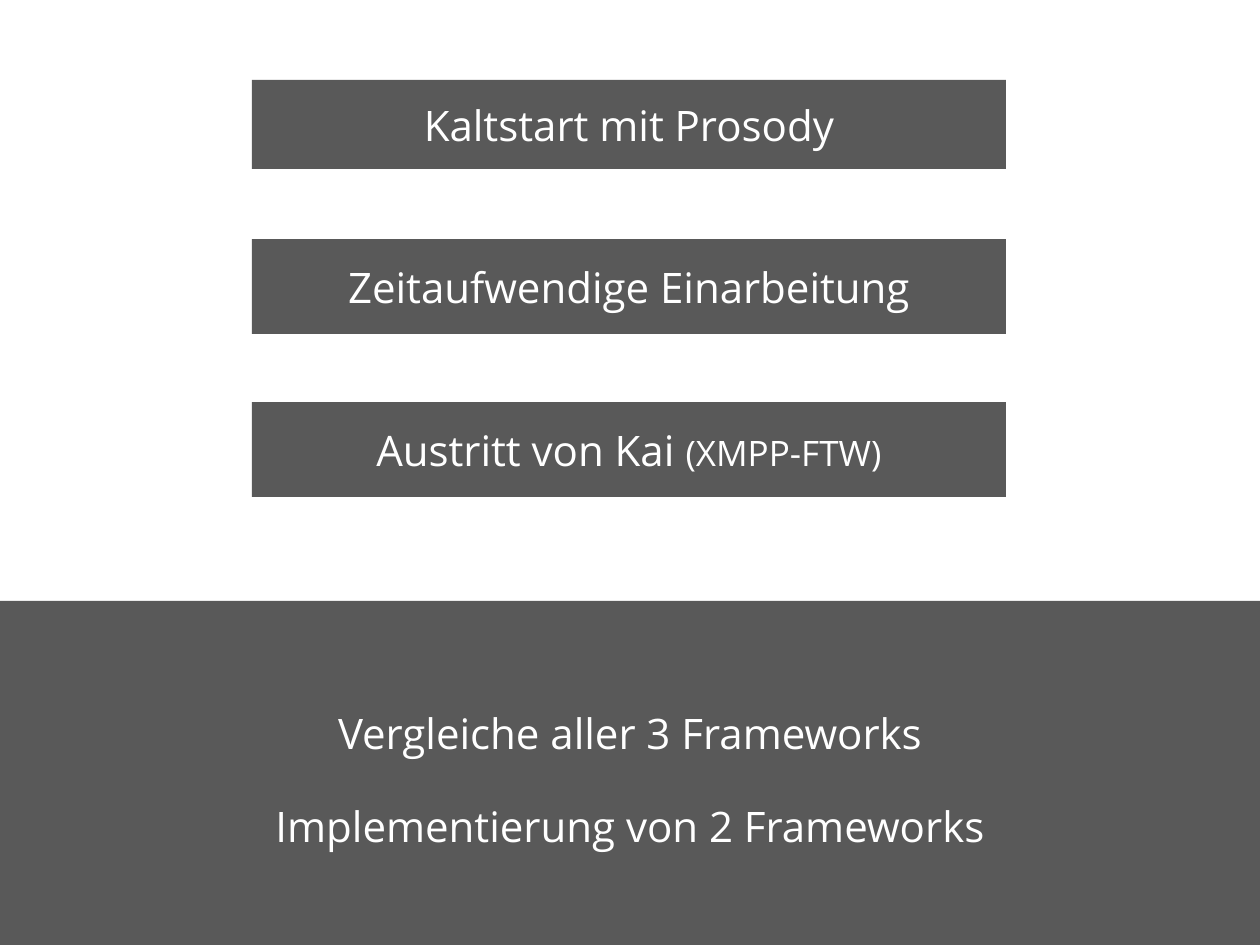
"""Builds a slide with three project obstacles above a results panel."""
import dataclasses

import pptx
import pptx.dml.color
import pptx.enum.shapes
import pptx.enum.text
import pptx.util


@dataclasses.dataclass(frozen=True)
class Theme:
    """Colours, type sizes and scale of the slide."""
    font: str = "Open Sans"
    panel: str = "595959"
    text: str = "FFFFFF"
    body_size: int = 24
    note_size: int = 20
    line_gap: float = 24.5
    px_per_inch: int = 126


class SlideBuilder:
    """Holds the theme and the current slide."""

    def __init__(self, slide, theme):
        self.slide = slide
        self.theme = theme

    def px(self, length):
        return pptx.util.Emu(round(length * 914400 / self.theme.px_per_inch))

    def color(self, value):
        return pptx.dml.color.RGBColor.from_string(value)

    def panel(self, left, top, width, height, lines):
        """Add a filled rectangle with centred lines of (text, size) runs."""
        shape = self.slide.shapes.add_shape(
            pptx.enum.shapes.MSO_SHAPE.RECTANGLE,
            *map(self.px, (left, top, width, height)))
        shape.shadow.inherit = False
        shape.fill.solid()
        shape.fill.fore_color.rgb = self.color(self.theme.panel)
        shape.line.fill.background()
        text_frame = shape.text_frame
        text_frame.word_wrap = True
        text_frame.vertical_anchor = pptx.enum.text.MSO_ANCHOR.MIDDLE
        for index, runs in enumerate(lines):
            paragraph = text_frame.add_paragraph() if index else text_frame.paragraphs[0]
            paragraph.alignment = pptx.enum.text.PP_ALIGN.CENTER
            if index:
                paragraph.space_before = pptx.util.Pt(self.theme.line_gap)
            for text, size in runs:
                run = paragraph.add_run()
                run.text = text
                run.font.name = self.theme.font
                run.font.size = pptx.util.Pt(size)
                run.font.color.rgb = self.color(self.theme.text)


def main():
    theme = Theme()
    presentation = pptx.Presentation()
    presentation.slide_width = pptx.util.Inches(10)
    presentation.slide_height = pptx.util.Inches(7.5)
    slide = presentation.slides.add_slide(presentation.slide_layouts[6])
    builder = SlideBuilder(slide, theme)

    obstacles = [
        (80, 89, [("Kaltstart mit Prosody", theme.body_size)]),
        (239, 95, [("Zeitaufwendige Einarbeitung", theme.body_size)]),
        (402, 95, [("Austritt von Kai ", theme.body_size),
                   ("(XMPP-FTW)", theme.note_size)]),
    ]
    for top, height, runs in obstacles:
        builder.panel(252, top, 754, height, [runs])

    results = ["Vergleiche aller 3 Frameworks", "Implementierung von 2 Frameworks"]
    builder.panel(-15, 601, 1290, 357,
                  [[(text, theme.body_size)] for text in results])
    presentation.save("out.pptx")


if __name__ == "__main__":
    main()
